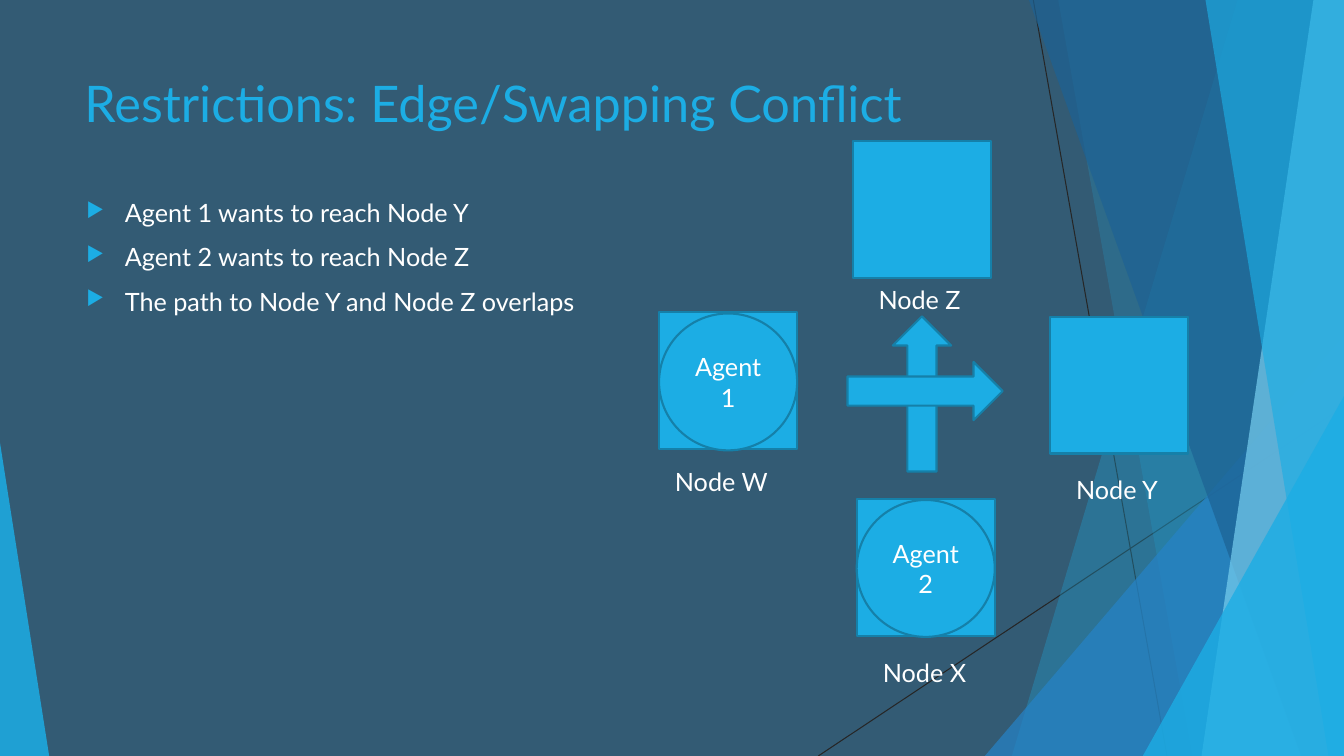
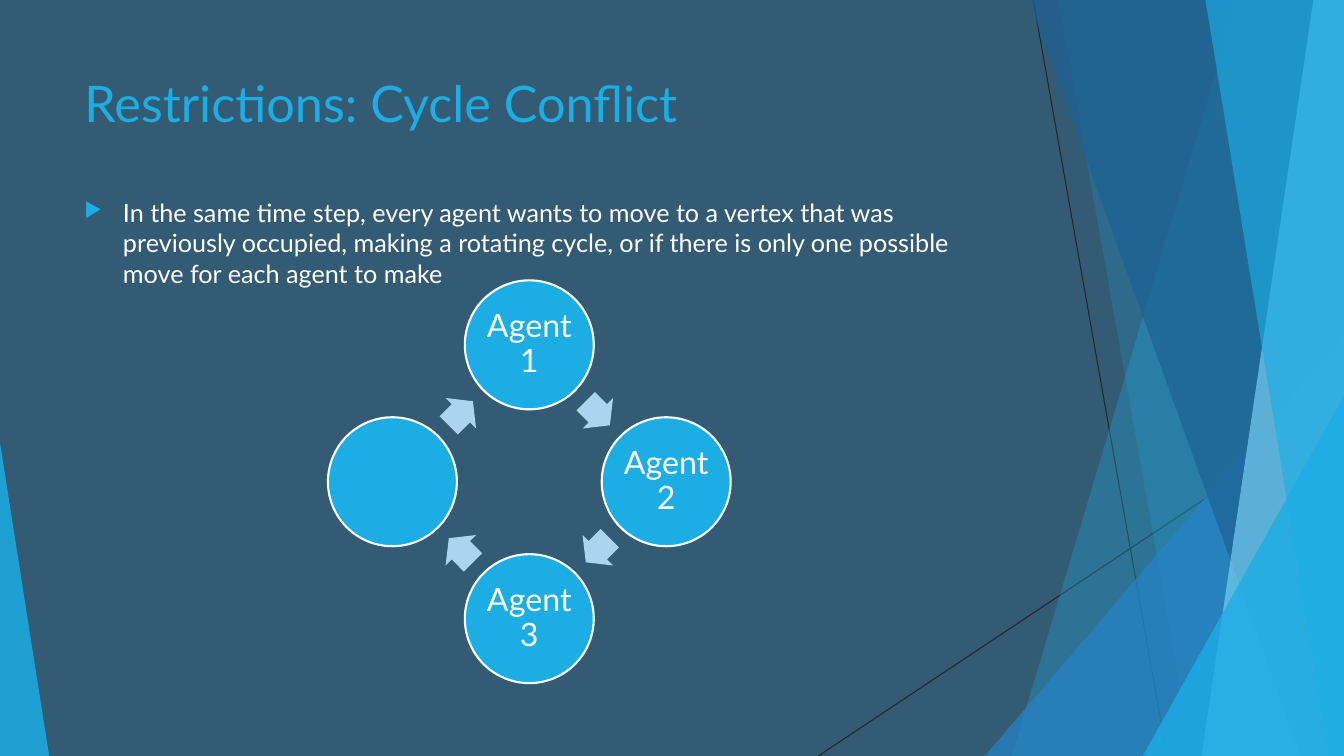
"""Build two slides on restrictions in multi-agent path finding."""
from math import cos, radians, sin

from lxml.etree import SubElement
from pptx import Presentation
from pptx.dml.color import RGBColor
from pptx.enum.shapes import MSO_CONNECTOR, MSO_SHAPE
from pptx.enum.text import MSO_ANCHOR, PP_ALIGN
from pptx.oxml.ns import qn
from pptx.util import Cm, Pt

FONT = "Lato"
BACKGROUND, ACCENT, OUTLINE, WHITE = "335B74", "1CADE4", "1580A9", "FFFFFF"
CYCLE_ARROW, HAIRLINE = "ACD3EF", "262626"
SLIDE_W, SLIDE_H = 33.87, 19.05

HAIRLINES = [(26.04, 0, 29.41, SLIDE_H), (SLIDE_W, 10.24, 20.62, SLIDE_H)]
# band: left edge at top and bottom; wedge: left, top, width, apex position
FACETS = [
    ("band", (31.19, 25.5), ACCENT, 30),
    ("band", (26.67, 30.05), ACCENT, 20),
    ("wedge", (24.82, 8.46, 9.05, 1), "2683C6", 72),
    ("band", (25.93, 32.79), "1D6294", 70),
    ("band", (33.1, 30.28), "77CEEF", 70),
    ("band", (30.38, 33.48), ACCENT, 65),
    ("wedge", (28.8, 9.98, 5.07, 1), ACCENT, 80),
    ("wedge", (0, 11.15, 1.24, 0), ACCENT, 85),
]

SWAP_TITLE = "Restrictions: Edge/Swapping Conflict"
SWAP_POINTS = [
    "Agent 1 wants to reach Node Y",
    "Agent 2 wants to reach Node Z",
    "The path to Node Y and Node Z overlaps",
]
NODE_W, NODE_H = 3.48, 3.45
NODES = [
    {"label": "Node W", "at": (16.61, 7.87), "label_at": (16.76, 11.63), "agent": "Agent 1"},
    {"label": "Node X", "at": (21.59, 12.57), "label_at": (22, 16.43), "agent": "Agent 2"},
    {"label": "Node Y", "at": (26.47, 7.98), "label_at": (26.87, 11.84), "agent": None},
    {"label": "Node Z", "at": (21.49, 3.56), "label_at": (21.89, 7.04), "agent": None},
]
MOVES = [(21.28, 9.19, 270), (21.36, 9.12, 0)]

CYCLE_TITLE = "Restrictions: Cycle Conflict"
CYCLE_POINTS = [
    "In the same time step, every agent wants to move to a vertex that was "
    "previously occupied, making a rotating cycle, or if there is only one "
    "possible move for each agent to make",
]
CYCLE_AGENTS = ["Agent 1", "Agent 2", "Agent 3", ""]
CYCLE_CENTER = (13.34, 12.14)
CYCLE_RADIUS, ARROW_RADIUS = 3.45, 2.44
AGENT_SIZE, ARROW_W, ARROW_H = 3.25, 0.86, 1.09


def color(hex_code):
    return RGBColor.from_string(hex_code)


def paint(shape, fill, line=None, opacity=100):
    shape.shadow.inherit = False
    shape.fill.solid()
    shape.fill.fore_color.rgb = color(fill)
    if opacity < 100:
        tint = shape.element.spPr.find(".//" + qn("a:srgbClr"))
        SubElement(tint, qn("a:alpha"), val=str(opacity * 1000))
    if line:
        shape.line.color.rgb = color(line)
        shape.line.width = Pt(1.5)
    else:
        shape.line.fill.background()


def add_figure(slide, preset, left, top, width, height, fill=ACCENT, line=None, opacity=100):
    figure = slide.shapes.add_shape(preset, Cm(left), Cm(top), Cm(width), Cm(height))
    paint(figure, fill, line, opacity)
    return figure


def style(paragraph, size, fill=WHITE):
    paragraph.font.name = FONT
    paragraph.font.size = Pt(size)
    paragraph.font.color.rgb = color(fill)


def add_text(slide, text, left, top, width, height, size=18, fill=WHITE):
    frame = slide.shapes.add_textbox(Cm(left), Cm(top), Cm(width), Cm(height)).text_frame
    frame.word_wrap = True
    frame.text = text
    for paragraph in frame.paragraphs:
        style(paragraph, size, fill)
    return frame


def write_agent(circle, name, size):
    frame = circle.text_frame
    frame.word_wrap = True
    frame.vertical_anchor = MSO_ANCHOR.MIDDLE
    frame.text = name
    frame.paragraphs[0].alignment = PP_ALIGN.CENTER
    style(frame.paragraphs[0], size)
    return frame


def add_points(slide, points, left):
    frame = slide.shapes.add_textbox(Cm(left), Cm(4.85), Cm(23.88), Cm(10.77)).text_frame
    frame.word_wrap = True
    frame.text = "\n".join(points)
    for index, paragraph in enumerate(frame.paragraphs):
        properties = paragraph._p.get_or_add_pPr()
        properties.set("marL", str(Cm(0.97)))
        properties.set("indent", str(-Cm(0.97)))
        bullet_color = SubElement(properties, qn("a:buClr"))
        SubElement(bullet_color, qn("a:srgbClr"), val=ACCENT)
        SubElement(properties, qn("a:buSzPct"), val="80000")
        SubElement(properties, qn("a:buChar"), char="▶")
        if index:
            paragraph.space_before = Pt(10)
        style(paragraph, 18)


def add_band(slide, top_x, bottom_x, fill, opacity):
    outline = slide.shapes.build_freeform(Cm(top_x), 0)
    corners = [(SLIDE_W, 0), (SLIDE_W, SLIDE_H), (bottom_x, SLIDE_H)]
    outline.add_line_segments([(Cm(x), Cm(y)) for x, y in corners])
    paint(outline.convert_to_shape(), fill, opacity=opacity)


def add_wedge(slide, left, top, width, apex, fill, opacity):
    wedge = add_figure(slide, MSO_SHAPE.ISOSCELES_TRIANGLE, left, top, width,
                       SLIDE_H - top, fill, opacity=opacity)
    wedge.adjustments[0] = apex


def add_base_slide(deck, title):
    slide = deck.slides.add_slide(deck.slide_layouts[6])
    for ends in HAIRLINES:
        hairline = slide.shapes.add_connector(MSO_CONNECTOR.STRAIGHT, *map(Cm, ends))
        hairline.line.color.rgb = color(HAIRLINE)
        hairline.line.width = Pt(0.75)
        SubElement(hairline.element.spPr, qn("a:effectLst"))
    for kind, geometry, fill, opacity in FACETS:
        add_facet = add_band if kind == "band" else add_wedge
        add_facet(slide, *geometry, fill, opacity)
    add_text(slide, title, 1.88, 1.7, 23.88, 3.66, 36, ACCENT)
    return slide


def build_swap_slide(deck):
    slide = add_base_slide(deck, SWAP_TITLE)
    add_points(slide, SWAP_POINTS, 1.93)
    for node in NODES:
        left, top = node["at"]
        add_figure(slide, MSO_SHAPE.RECTANGLE, left, top, NODE_W, NODE_H, line=OUTLINE)
        if node["agent"]:
            circle = add_figure(slide, MSO_SHAPE.FLOWCHART_CONNECTOR, left, top + 0.03,
                                NODE_W, NODE_H, line=OUTLINE)
            write_agent(circle, node["agent"], 18)
        add_text(slide, node["label"], *node["label_at"], 3, 1.02)
    for left, top, rotation in MOVES:
        move = add_figure(slide, MSO_SHAPE.RIGHT_ARROW, left, top, 3.91, 1.47, line=OUTLINE)
        move.rotation = rotation


def cycle_corner(angle, radius, width, height):
    center_x, center_y = CYCLE_CENTER
    return (center_x + radius * sin(radians(angle)) - width / 2,
            center_y - radius * cos(radians(angle)) - height / 2)


def build_cycle_slide(deck):
    slide = add_base_slide(deck, CYCLE_TITLE)
    step = 360 / len(CYCLE_AGENTS)
    for index, name in enumerate(CYCLE_AGENTS):
        angle = index * step
        corner = cycle_corner(angle, CYCLE_RADIUS, AGENT_SIZE, AGENT_SIZE)
        circle = add_figure(slide, MSO_SHAPE.OVAL, *corner, AGENT_SIZE, AGENT_SIZE, line=WHITE)
        if name:
            frame = write_agent(circle, name, 23)
            frame.margin_left = frame.margin_right = Cm(0.08)
            frame.margin_top = frame.margin_bottom = Cm(0.08)
            frame.paragraphs[0].line_spacing = 0.9
        middle = angle + step / 2
        corner = cycle_corner(middle, ARROW_RADIUS, ARROW_W, ARROW_H)
        arrow = add_figure(slide, MSO_SHAPE.RIGHT_ARROW, *corner, ARROW_W, ARROW_H, CYCLE_ARROW)
        arrow.adjustments[0] = 0.6
        arrow.rotation = middle
    add_points(slide, CYCLE_POINTS, 1.88)


def main():
    deck = Presentation()
    deck.slide_width, deck.slide_height = Cm(SLIDE_W), Cm(SLIDE_H)
    backdrop = deck.slide_master.background.fill
    backdrop.solid()
    backdrop.fore_color.rgb = color(BACKGROUND)
    build_swap_slide(deck)
    build_cycle_slide(deck)
    deck.save("out.pptx")


if __name__ == "__main__":
    main()
